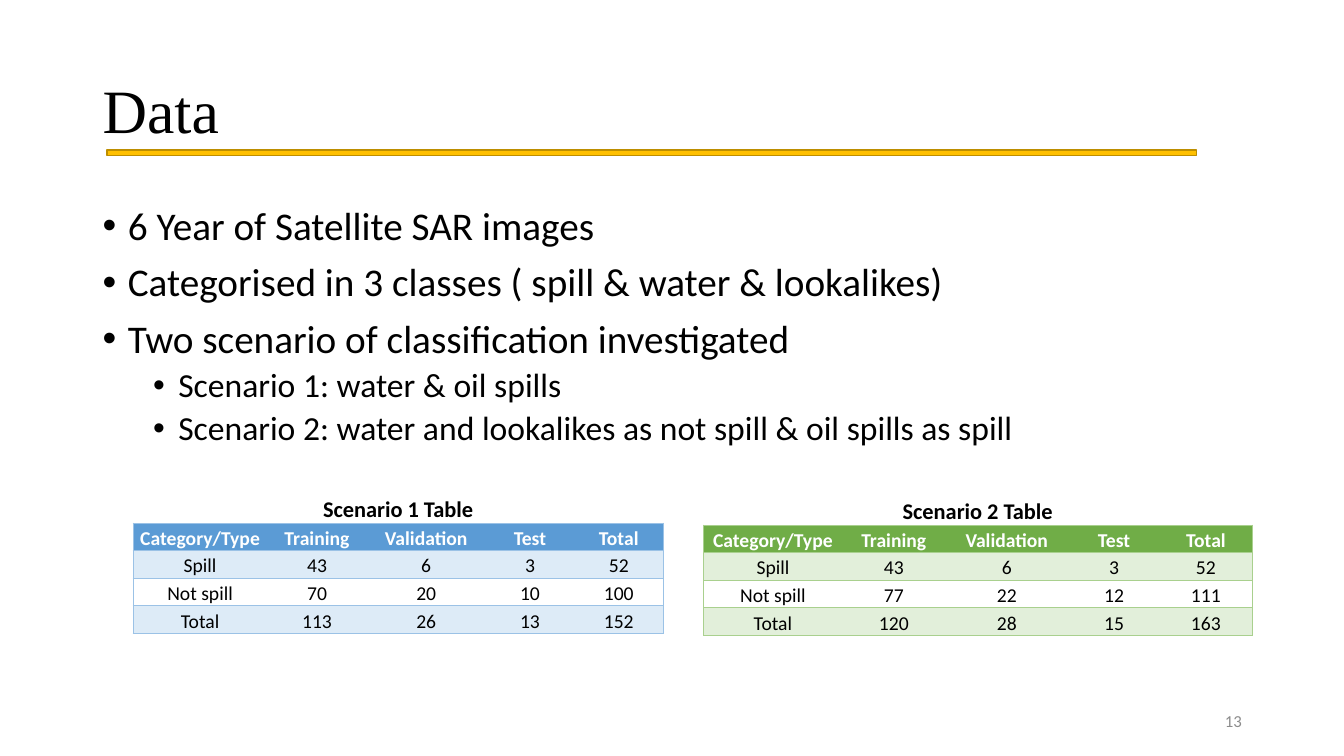
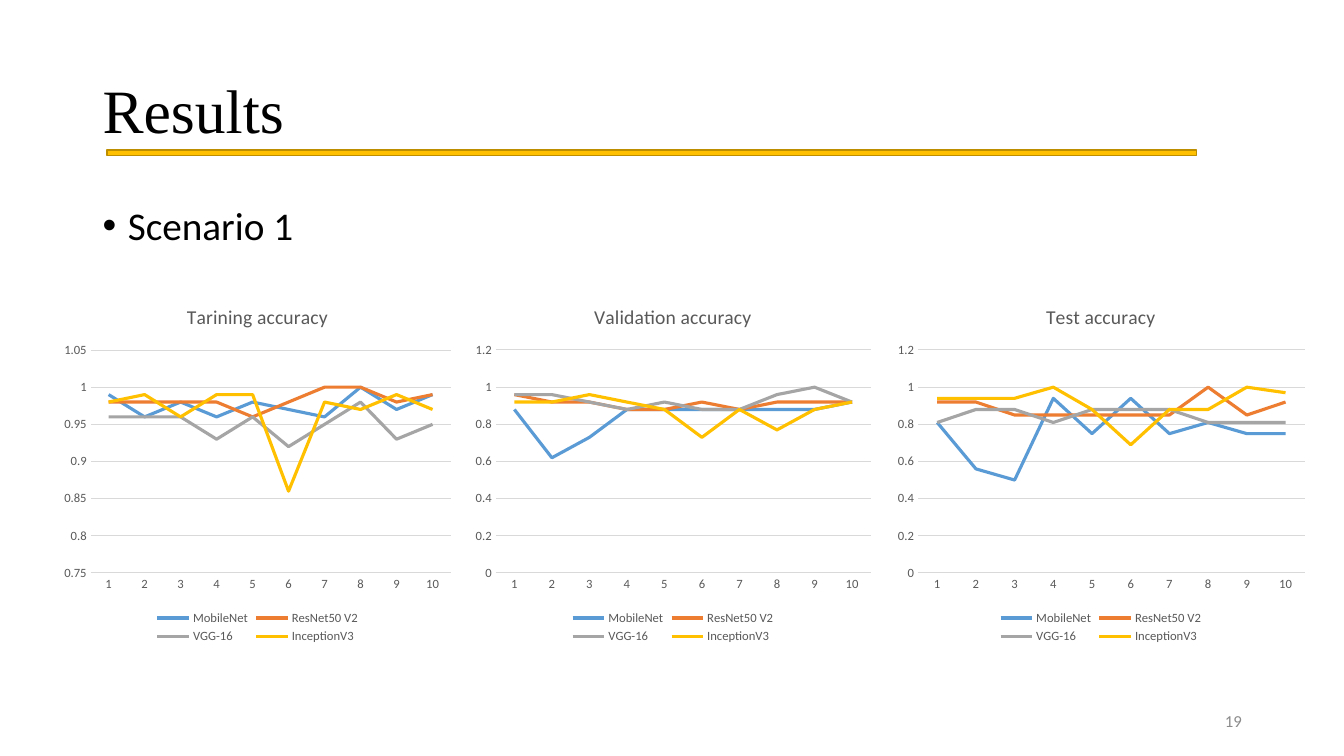
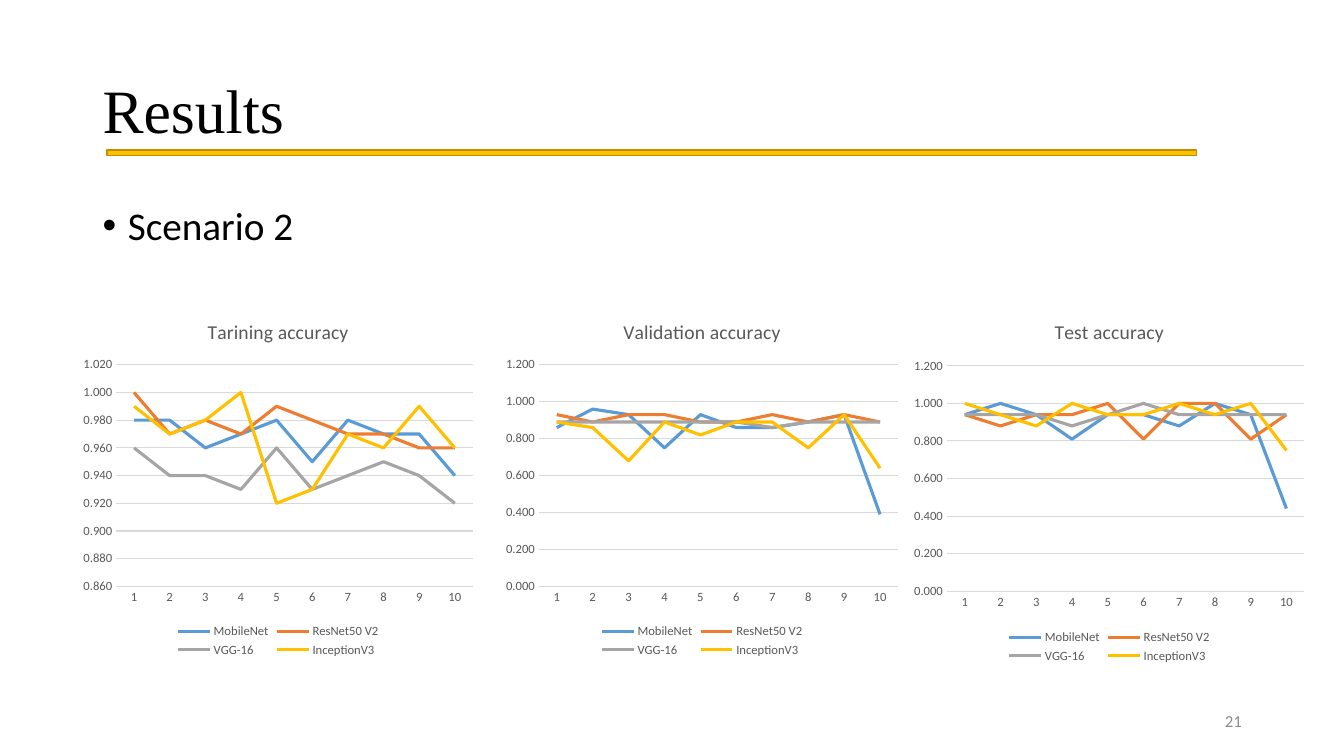
from pptx import Presentation
from pptx.chart.data import CategoryChartData
from pptx.dml.color import RGBColor
from pptx.enum.chart import XL_CHART_TYPE, XL_LEGEND_POSITION, XL_TICK_MARK
from pptx.enum.shapes import MSO_SHAPE
from pptx.enum.text import MSO_ANCHOR, PP_ALIGN
from pptx.oxml import parse_xml
from pptx.oxml.ns import nsdecls, qn
from pptx.util import Inches, Pt

W, H = Inches(13.33), Inches(7.5)
BLACK, WHITE, GREY, RULE = "000000", "FFFFFF", "595959", "D9D9D9"
GOLD, GOLD_EDGE, NUMBER = "FFC000", "BD8E00", "8C8C8C"
BLUES = ("5B9BD5", "DDEBF7", "9BC2E6")
GREENS = ("70AD47", "E2EFDA", "A9D08E")
MODELS = {"MobileNet": "5B9BD5", "ResNet50 V2": "ED7D31",
          "VGG-16": "A5A5A5", "InceptionV3": "FFC000"}
NO_STYLE = "{2D5ABB26-0587-4C30-8999-92F81FD0307C}"
COL_SHARES = (0.253, 0.188, 0.224, 0.1675, 0.1675)
HEADER = ("Category/Type", "Training", "Validation", "Test", "Total")


def rgb(color):
    return RGBColor.from_string(color)


def share(x, y, w, h):
    return [int(v * side / 100) for v, side in zip((x, y, w, h), (W, H, W, H))]


def style(font, size, color, name="Calibri", bold=False):
    font.size, font.name, font.bold = Pt(size), name, bold
    font.color.rgb = rgb(color)


def add_text(s, box, text, size, color=BLACK, name="Calibri",
             align=PP_ALIGN.LEFT, spacing=1.0):
    tf = s.shapes.add_textbox(*box).text_frame
    tf.word_wrap = True
    tf.vertical_anchor = MSO_ANCHOR.MIDDLE
    p = tf.paragraphs[0]
    p.text, p.alignment, p.line_spacing = text, align, spacing
    style(p.runs[0].font, size, color, name)


def add_frame(prs, title, number):
    s = prs.slides.add_slide(prs.slide_layouts[6])
    add_text(s, share(6.9, 5.33, 86.25, 19.33), title, 44,
             name="Times New Roman", spacing=0.9)
    add_text(s, share(70.65, 92.67, 22.5, 5.33), number, 12, NUMBER,
             align=PP_ALIGN.RIGHT)
    bar = s.shapes.add_shape(MSO_SHAPE.RECTANGLE, *share(7.95, 19.87, 81.07, 0.67))
    bar.shadow.inherit = False
    bar.fill.solid()
    bar.fill.fore_color.rgb = rgb(GOLD)
    bar.line.color.rgb = rgb(GOLD_EDGE)
    bar.line.width = Pt(1)
    return s


def add_bullets(s, items):
    tf = s.shapes.add_textbox(*share(6.9, 26.67, 86.25, 63.47)).text_frame
    tf.word_wrap = True
    for i, (level, text) in enumerate(items):
        p = tf.add_paragraph() if i else tf.paragraphs[0]
        p.text, p.level, p.line_spacing = text, level, 0.9
        p.space_before = Pt(5 if level else 10)
        style(p.runs[0].font, 24 if level else 28, BLACK)
        pPr = p._p.get_or_add_pPr()
        pPr.set("marL", str(Inches(0.25 + 0.5 * level)))
        pPr.set("indent", str(-Inches(0.25)))
        pPr.append(parse_xml(f'<a:buFont {nsdecls("a")} typeface="Arial"/>'))
        pPr.append(parse_xml(f'<a:buChar {nsdecls("a")} char="•"/>'))


def add_borders(cell, sides, color):
    tcPr = cell._tc.get_or_add_tcPr()
    for side in sides:
        tcPr.append(parse_xml(
            f'<a:ln{side} {nsdecls("a")} w="{Pt(0.5)}"><a:solidFill>'
            f'<a:srgbClr val="{color}"/></a:solidFill></a:ln{side}>'))


def fill_cell(cell, text, size, color, bold, fill):
    cell.margin_left = cell.margin_right = cell.margin_top = Inches(0.01)
    cell.margin_bottom = 0
    cell.vertical_anchor = MSO_ANCHOR.BOTTOM
    if fill:
        cell.fill.solid()
        cell.fill.fore_color.rgb = rgb(fill)
    else:
        cell.fill.background()
    if text:
        p = cell.text_frame.paragraphs[0]
        p.text, p.alignment = text, PP_ALIGN.CENTER
        style(p.runs[0].font, size, color, bold=bold)


def add_scenario_table(s, box, caption, rows, colors):
    head, band, edge = colors
    grid = [(caption, "", "", "", ""), HEADER, *rows]
    frame = s.shapes.add_table(len(grid), len(HEADER), *box)
    table = frame.table
    table.first_row = table.horz_banding = False
    next(frame.element.iter(qn("a:tableStyleId"))).text = NO_STYLE
    for col, part in zip(table.columns, COL_SHARES):
        col.width = int(box[2] * part)
    for i, values in enumerate(grid):
        for j, text in enumerate(values):
            cell = table.cell(i, j)
            if i == 0:
                add_borders(cell, "B", edge)
                fill_cell(cell, text, 16, BLACK, True, None)
                continue
            left, right = j == 0, j == len(HEADER) - 1
            add_borders(cell, "L" * left + "R" * right + "TB", edge)
            fill = head if i == 1 else band if i % 2 == 0 else None
            fill_cell(cell, text, 14, WHITE if i == 1 else BLACK, i == 1, fill)
    table.cell(0, 0).merge(table.cell(0, len(HEADER) - 1))


def set_plot_area(chart, left):
    area = chart._chartSpace.chart.plotArea
    for old in area.findall(qn("c:layout")):
        area.remove(old)
    sizes = {"x": left, "y": 0.174, "w": 0.98 - left, "h": 0.618}
    values = "".join(f'<c:{k} val="{v:.3f}"/>' for k, v in sizes.items())
    area.insert(0, parse_xml(
        f'<c:layout {nsdecls("c")}><c:manualLayout><c:layoutTarget val="inner"/>'
        f'<c:xMode val="edge"/><c:yMode val="edge"/>{values}'
        f'</c:manualLayout></c:layout>'))


def add_accuracy_chart(s, box, title, scale, fmt, left, values):
    data = CategoryChartData()
    data.categories = [str(n) for n in range(1, 11)]
    for name, vals in zip(MODELS, values):
        data.add_series(name, vals)
    chart = s.shapes.add_chart(XL_CHART_TYPE.LINE, *box, data).chart
    style(chart.font, 10, BLACK)
    chart.has_title = True
    p = chart.chart_title.text_frame.paragraphs[0]
    p.text = title
    style(p.runs[0].font, 14, GREY)
    chart.chart_title.include_in_layout = False
    chart.has_legend = True
    chart.legend.position = XL_LEGEND_POSITION.BOTTOM
    chart.legend.include_in_layout = False
    style(chart.legend.font, 9, GREY)

    cat, val = chart.category_axis, chart.value_axis
    for axis in (cat, val):
        axis.major_tick_mark = axis.minor_tick_mark = XL_TICK_MARK.NONE
        style(axis.tick_labels.font, 9, GREY)
    val.minimum_scale, val.maximum_scale, val.major_unit = scale
    val.tick_labels.number_format = fmt
    val.tick_labels.number_format_is_linked = False
    val.format.line.fill.background()
    for line in (cat.format.line, val.major_gridlines.format.line):
        line.color.rgb = rgb(RULE)
        line.width = Pt(0.75)

    chart.plots[0].vary_by_categories = False
    for series, color in zip(chart.plots[0].series, MODELS.values()):
        series.smooth = False
        series.format.line.color.rgb = rgb(color)
        series.format.line.width = Pt(2.25)
    set_plot_area(chart, left)


def data_slide(prs):
    s = add_frame(prs, "Data", "13")
    add_scenario_table(s, share(9.9, 65.47, 39.45, 18.27), "Scenario 1 Table", [
        ("Spill", "43", "6", "3", "52"),
        ("Not spill", "70", "20", "10", "100"),
        ("Total", "113", "26", "13", "152")], BLUES)
    add_scenario_table(s, share(52.35, 65.73, 40.8, 18.27), "Scenario 2 Table", [
        ("Spill", "43", "6", "3", "52"),
        ("Not spill", "77", "22", "12", "111"),
        ("Total", "120", "28", "15", "163")], GREENS)
    add_bullets(s, [
        (0, "6 Year of Satellite SAR images"),
        (0, "Categorised in 3 classes ( spill & water & lookalikes)"),
        (0, "Two scenario of classification investigated"),
        (1, "Scenario 1: water & oil spills"),
        (1, "Scenario 2: water and lookalikes as not spill & oil spills as spill")])


def results_slide(prs, number, scenario, fmt, charts):
    s = add_frame(prs, "Results", number)
    add_bullets(s, [(0, scenario)])
    titles = ("Tarining accuracy", "Validation accuracy", "Test accuracy")
    for title, (box, scale, left, values) in zip(titles, charts):
        add_accuracy_chart(s, share(*box), title, scale, fmt, left, values)


FULL_SCALE = (0, 1.2, 0.2)
SCENARIO_1 = [
    ((4.2, 38, 29.93, 47.73), (0.75, 1.05, 0.05), 0.085, [
        (0.99, 0.96, 0.98, 0.96, 0.98, 0.97, 0.96, 1, 0.97, 0.99),
        (0.98, 0.98, 0.98, 0.98, 0.96, 0.98, 1, 1, 0.98, 0.99),
        (0.96, 0.96, 0.96, 0.93, 0.96, 0.92, 0.95, 0.98, 0.93, 0.95),
        (0.98, 0.99, 0.96, 0.99, 0.99, 0.86, 0.98, 0.97, 0.99, 0.97)]),
    ((34.73, 38, 30.68, 47.73), FULL_SCALE, 0.07, [
        (0.88, 0.62, 0.73, 0.88, 0.88, 0.88, 0.88, 0.88, 0.88, 0.92),
        (0.96, 0.92, 0.92, 0.88, 0.88, 0.92, 0.88, 0.92, 0.92, 0.92),
        (0.96, 0.96, 0.92, 0.88, 0.92, 0.88, 0.88, 0.96, 1, 0.92),
        (0.92, 0.92, 0.96, 0.92, 0.88, 0.73, 0.88, 0.77, 0.88, 0.92)]),
    ((66.08, 38, 31.65, 47.73), FULL_SCALE, 0.07, [
        (0.81, 0.56, 0.5, 0.94, 0.75, 0.94, 0.75, 0.81, 0.75, 0.75),
        (0.92, 0.92, 0.85, 0.85, 0.85, 0.85, 0.85, 1, 0.85, 0.92),
        (0.81, 0.88, 0.88, 0.81, 0.88, 0.88, 0.88, 0.81, 0.81, 0.81),
        (0.94, 0.94, 0.94, 1, 0.88, 0.69, 0.88, 0.88, 1, 0.97)]),
]
SCENARIO_2 = [
    ((5.63, 40, 30.15, 47.47), (0.86, 1.02, 0.02), 0.1, [
        (0.98, 0.98, 0.96, 0.97, 0.98, 0.95, 0.98, 0.97, 0.97, 0.94),
        (1, 0.97, 0.98, 0.97, 0.99, 0.98, 0.97, 0.97, 0.96, 0.96),
        (0.96, 0.94, 0.94, 0.93, 0.96, 0.93, 0.94, 0.95, 0.94, 0.92),
        (0.99, 0.97, 0.98, 1, 0.92, 0.93, 0.97, 0.96, 0.99, 0.96)]),
    ((37.05, 40, 30.38, 47.47), FULL_SCALE, 0.1, [
        (0.86, 0.96, 0.93, 0.75, 0.93, 0.86, 0.86, 0.89, 0.93, 0.39),
        (0.93, 0.89, 0.93, 0.93, 0.89, 0.89, 0.93, 0.89, 0.93, 0.89),
        (0.89, 0.89, 0.89, 0.89, 0.89, 0.89, 0.86, 0.89, 0.89, 0.89),
        (0.89, 0.86, 0.68, 0.89, 0.82, 0.89, 0.89, 0.75, 0.93, 0.64)]),
    ((67.43, 40, 30.23, 48.27), FULL_SCALE, 0.1, [
        (0.94, 1, 0.94, 0.81, 0.94, 0.94, 0.88, 1, 0.94, 0.44),
        (0.94, 0.88, 0.94, 0.94, 1, 0.81, 1, 1, 0.81, 0.94),
        (0.94, 0.94, 0.94, 0.88, 0.94, 1, 0.94, 0.94, 0.94, 0.94),
        (1, 0.94, 0.88, 1, 0.94, 0.94, 1, 0.94, 1, 0.75)]),
]


def main():
    prs = Presentation()
    prs.slide_width, prs.slide_height = W, H
    data_slide(prs)
    results_slide(prs, "19", "Scenario 1", "General", SCENARIO_1)
    results_slide(prs, "21", "Scenario 2", "0.000", SCENARIO_2)
    prs.save("out.pptx")


if __name__ == "__main__":
    main()
